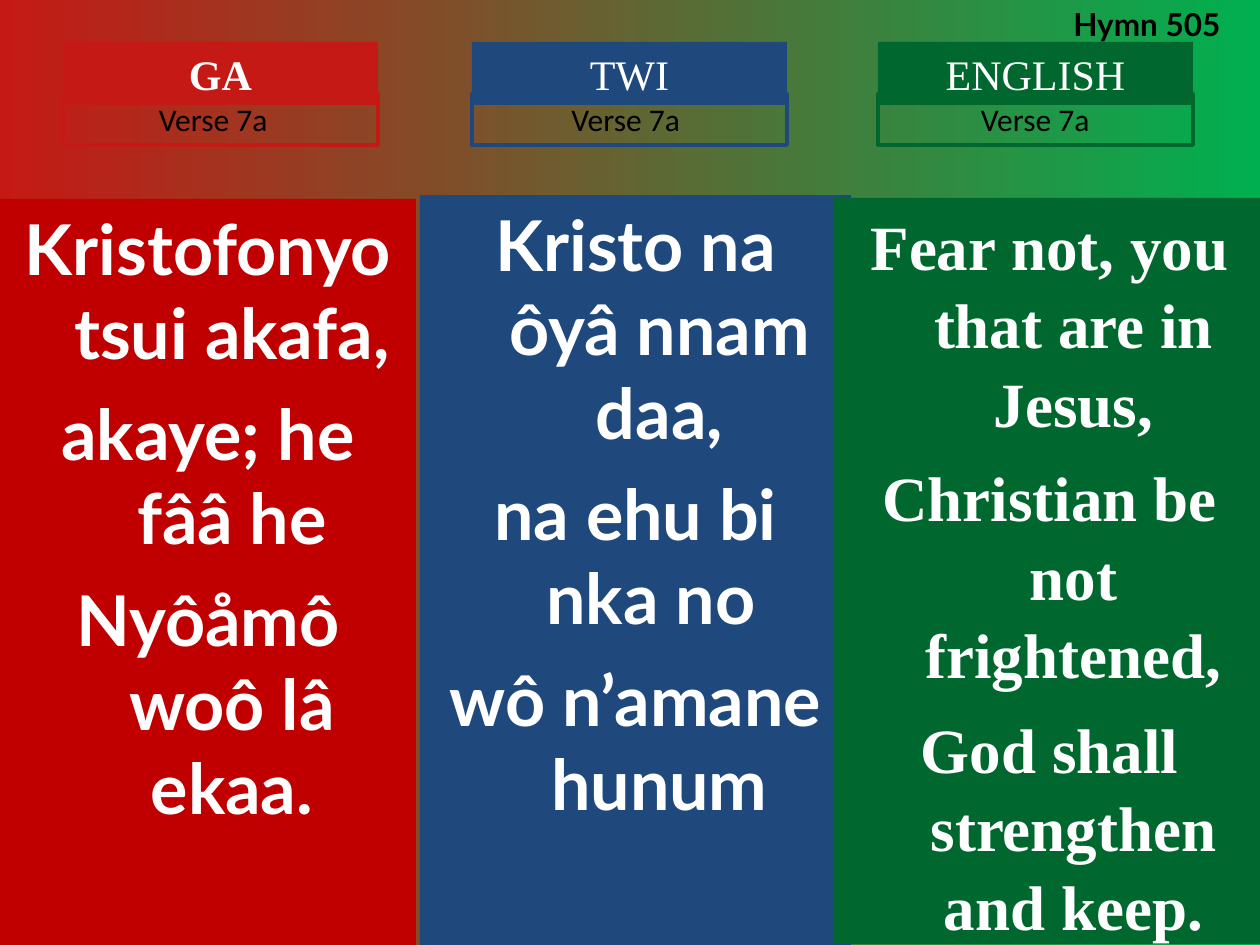
from pptx import Presentation
from pptx.dml.color import RGBColor
from pptx.enum.shapes import MSO_SHAPE
from pptx.enum.text import MSO_ANCHOR, PP_ALIGN
from pptx.util import Emu, Pt

PX = 914400 / 126
WHITE = RGBColor(0xFF, 0xFF, 0xFF)
BLACK = RGBColor(0, 0, 0)
RED = RGBColor(0xC5, 0x19, 0x15)
DARK_RED = RGBColor(0xC0, 0, 0)
BLUE = RGBColor(0x1F, 0x49, 0x7D)
GREEN = RGBColor(0, 0x68, 0x2F)
BRIGHT_GREEN = RGBColor(0, 0xB0, 0x50)
SERIF = "Times New Roman"

# Content: one entry per language column; panel is left, top, width, height
HYMN = "Hymn 505"
VERSE = "Verse 7a"
COLUMNS = [
    dict(name="GA", bold=True, color=RED, left=63, verse_inset=27,
         panel=(0, 199, 416, 746), fill=DARK_RED, font="Lato", size=40, before=10, spacing=1.0,
         lines=["Kristofonyo tsui akafa,", "akaye; he fââ he", "Nyôåmô woô lâ ekaa."]),
    dict(name="TWI", bold=False, color=BLUE, left=472, verse_inset=20,
         panel=(420, 195, 431, 750), fill=BLUE, font="Lato", size=40, before=10, spacing=1.0,
         lines=["Kristo na ôyâ nnam daa,", "na ehu bi nka no ", "wô n’amane hunum"]),
    dict(name="ENGLISH", bold=False, color=GREEN, left=878, verse_inset=13,
         panel=(834, 198, 431, 746), fill=GREEN, font=SERIF, size=36, before=9, spacing=1.04,
         lines=["Fear not, you that are in Jesus,", "Christian be not frightened,",
                "God shall strengthen and keep."]),
]
HEADER_TOP, HEADER_HEIGHT = 42, 63
VERSE_TOP, VERSE_HEIGHT = 94, 51
LABEL_WIDTH = 315
HANGING = 48


def px(value):
    return Emu(round(value * PX))


def write(box, lines, font, size, color, bold=False, align=PP_ALIGN.CENTER):
    frame = box.text_frame
    frame.word_wrap = True
    frame.vertical_anchor = MSO_ANCHOR.TOP
    frame.text = "\n".join(lines)
    for para in frame.paragraphs:
        para.alignment = align
        for span in para.runs:
            span.font.name = font
            span.font.size = Pt(size)
            span.font.bold = bold
            span.font.color.rgb = color


def add_box(page, place, fill=None, line=None):
    box = page.shapes.add_shape(MSO_SHAPE.RECTANGLE, *map(px, place))
    box.shadow.inherit = False
    if fill is None:
        box.fill.background()
    else:
        box.fill.solid()
        box.fill.fore_color.rgb = fill
    if line is None:
        box.line.fill.background()
    else:
        box.line.color.rgb = line
        box.line.width = Pt(2.25)
    return box


def add_panel(page, column):
    panel = add_box(page, column["panel"], fill=column["fill"])
    write(panel, column["lines"], column["font"], column["size"], WHITE, bold=True)
    for index, para in enumerate(panel.text_frame.paragraphs):
        para.line_spacing = column["spacing"]
        para.space_before = Pt(column["before"] if index else 0)
        properties = para._p.get_or_add_pPr()
        properties.set("marL", str(px(HANGING)))
        properties.set("indent", str(-px(HANGING)))


def add_labels(page, column):
    header = add_box(page, (column["left"], HEADER_TOP, LABEL_WIDTH, HEADER_HEIGHT),
                     fill=column["color"])
    write(header, [column["name"]], SERIF, 24, WHITE, column["bold"])
    verse = add_box(page, (column["left"], VERSE_TOP, LABEL_WIDTH, VERSE_HEIGHT),
                    line=column["color"])
    write(verse, [VERSE], "Calibri", 18, BLACK)
    verse.text_frame.margin_right = px(column["verse_inset"])


def main():
    deck = Presentation()
    deck.slide_width, deck.slide_height = px(1260), px(945)
    page = deck.slides.add_slide(deck.slide_layouts[6])

    # Background running from red to green
    backdrop = page.background.fill
    backdrop.gradient()
    backdrop.gradient_angle = 0
    for stop, color, position in zip(backdrop.gradient_stops, (RED, BRIGHT_GREEN), (0, 1)):
        stop.color.rgb = color
        stop.position = position

    # Language columns
    for column in COLUMNS:
        add_panel(page, column)
        add_labels(page, column)

    # Hymn number
    title = page.shapes.add_textbox(px(1061), px(-1), px(189), px(50))
    write(title, [HYMN], "Lato", 18, BLACK, bold=True, align=PP_ALIGN.LEFT)

    deck.save("out.pptx")


if __name__ == "__main__":
    main()
